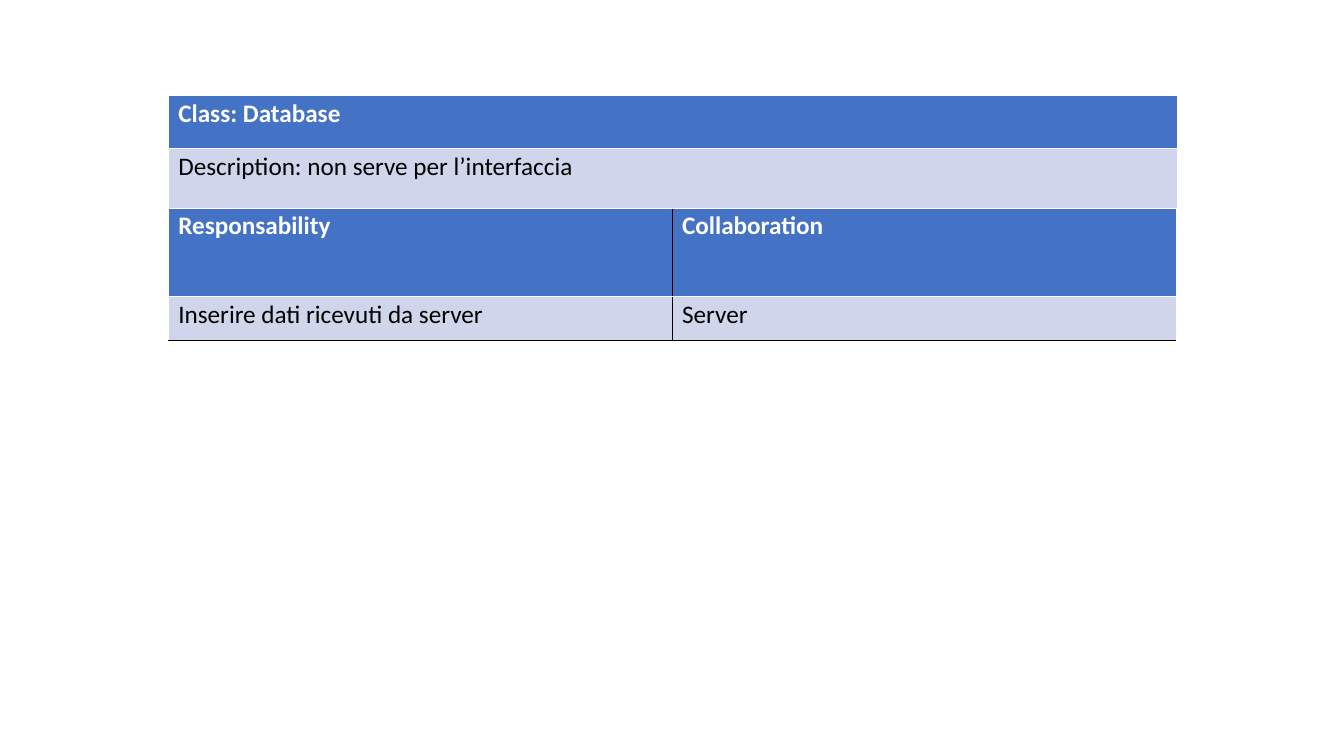
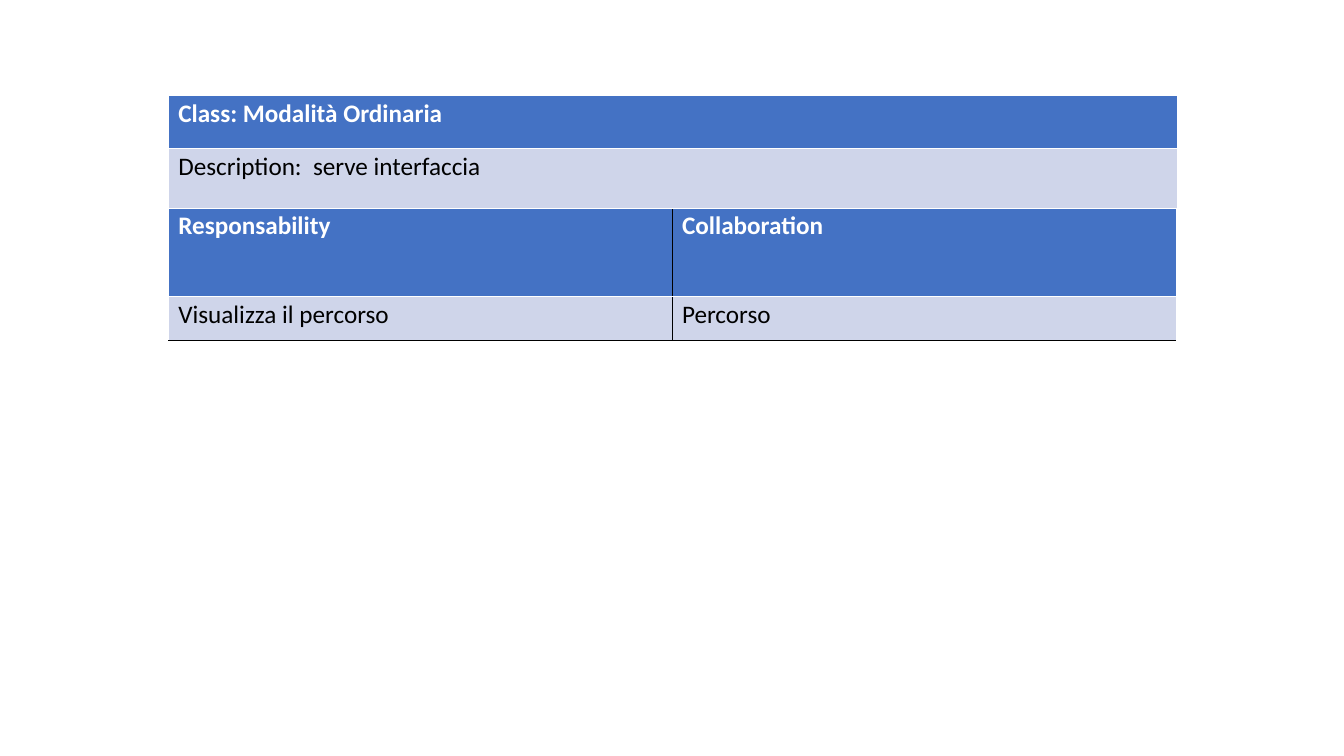
from pptx import Presentation
from pptx.dml.color import RGBColor
from pptx.oxml.ns import qn
from pptx.util import Pt
from lxml.etree import SubElement

PX = 9144
EDGE = 720
BLUE = RGBColor(0x44, 0x72, 0xC4)
PALE = RGBColor(0xCF, 0xD5, 0xEA)
WHITE = RGBColor(0xFF, 0xFF, 0xFF)
BLACK = RGBColor(0x00, 0x00, 0x00)
FONT = "Calibri"
SIZE = Pt(18)
LEFT, TOP, WIDTH = 167, 94, 1000
HEAD_ROWS = [53, 59]
DUTY_ROWS = [89, 43]

CARDS = [
    ("Class: Database", "Description: non serve per l’interfaccia",
     "Inserire dati ricevuti da server", "Server"),
    ("Class: Modalità Ordinaria", "Description:  serve interfaccia",
     "Visualizza il percorso", "Percorso"),
]


def add_edges(cell, inks):
    props = cell._tc.get_or_add_tcPr()
    for side, ink in inks.items():
        line = SubElement(props, qn("a:ln" + side), w=str(EDGE))
        fill = SubElement(line, qn("a:solidFill"))
        SubElement(fill, qn("a:srgbClr"), val=str(ink))


def fill_cell(cell, text, head):
    cell.fill.solid()
    cell.fill.fore_color.rgb = BLUE if head else PALE
    para = cell.text_frame.paragraphs[0]
    para.text = text
    para.line_spacing = 0.92
    for run in para.runs:
        run.font.name = FONT
        run.font.size = SIZE
        run.font.bold = head
        run.font.color.rgb = WHITE if head else BLACK


def add_grid(slide, left, top, width, rows, texts, ink):
    count = len(texts[0])
    box = [n * PX for n in (left, top, width, sum(rows))]
    table = slide.shapes.add_table(len(rows), count, *box).table
    table.first_row = table.horz_banding = False
    for row, high in zip(table.rows, rows):
        row.height = high * PX
    for i, line in enumerate(texts):
        for j, text in enumerate(line):
            cell = table.cell(i, j)
            add_edges(cell, {
                "L": ink if j > 0 else WHITE,
                "R": ink if j < count - 1 else WHITE,
                "T": WHITE,
                "B": ink if i == len(rows) - 1 else WHITE,
            })
            fill_cell(cell, text, i == 0)


def add_card(deck, left, top, width, card):
    slide = deck.slides.add_slide(deck.slide_layouts[6])
    name, about, duty, partner = card
    add_grid(slide, left, top + sum(HEAD_ROWS) - 1, width, DUTY_ROWS,
             [["Responsability", "Collaboration"], [duty, partner]], BLACK)
    add_grid(slide, left, top, width + 1, HEAD_ROWS,
             [[name], [about]], WHITE)


def main():
    deck = Presentation()
    deck.slide_width, deck.slide_height = 1334 * PX, 750 * PX
    for card in CARDS:
        add_card(deck, LEFT, TOP, WIDTH, card)
    deck.save("out.pptx")


if __name__ == "__main__":
    main()
